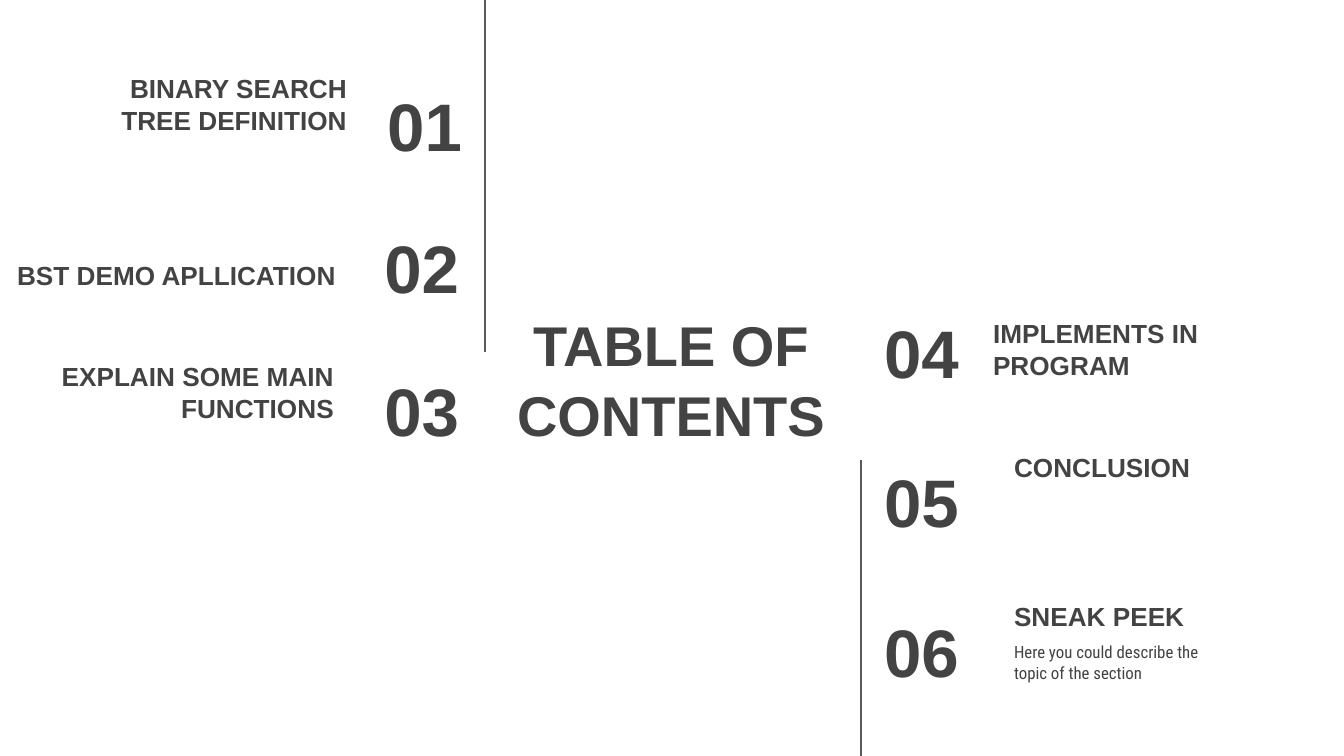
from lxml import etree
from pptx import Presentation
from pptx.dml.color import RGBColor
from pptx.enum.shapes import MSO_CONNECTOR
from pptx.enum.text import MSO_ANCHOR, MSO_AUTO_SIZE, PP_ALIGN
from pptx.oxml.ns import qn
from pptx.util import Pt

LEFT, CENTER, RIGHT = PP_ALIGN.LEFT, PP_ALIGN.CENTER, PP_ALIGN.RIGHT
TOP, MIDDLE, BOTTOM = MSO_ANCHOR.TOP, MSO_ANCHOR.MIDDLE, MSO_ANCHOR.BOTTOM
STRAIGHT = MSO_CONNECTOR.STRAIGHT
NO_AUTOFIT = MSO_AUTO_SIZE.NONE

PX = 914400 / 134.4
INSET = 13
ROW_HEIGHT = 85


def px(value):
    """Turn pixels into EMU."""
    return round(value * PX)


def write(shape, box, text, size, align, anchor, font="Arial", bold=True, bottom=INSET):
    """Place a shape and fill it with one formatted paragraph."""
    shape.left, shape.top, shape.width, shape.height = map(px, box)
    frame = shape.text_frame
    frame.word_wrap = True
    frame.auto_size = NO_AUTOFIT
    frame.vertical_anchor = anchor
    frame.margin_left = frame.margin_right = frame.margin_top = px(INSET)
    frame.margin_bottom = px(bottom)
    paragraph = frame.paragraphs[0]
    paragraph.text = text
    paragraph.alignment = align
    paragraph.space_before = Pt(0)
    paragraph.line_spacing = 1.04
    paragraph.font.name = font
    paragraph.font.size = Pt(size)
    paragraph.font.bold = bold
    paragraph.font.color.rgb = RGBColor.from_string("434343")


presentation = Presentation()
presentation.slide_width = px(1344)
presentation.slide_height = px(756)
slide = presentation.slides.add_slide(presentation.slide_layouts[0])

write(slide.shapes.title, (497, 309, 348, 138), "TABLE OF CONTENTS", 30, CENTER, MIDDLE)
write(slide.placeholders[1], (1001, 628, 246, 85),
      "Here you could describe the topic of the section", 9, LEFT, TOP,
      font="Roboto Condensed", bold=False)

# number, number box (left, top, width), heading, heading box, alignment, bottom inset
sections = [
    ("01", (312, 81, 163), "BINARY SEARCH TREE DEFINITION", (70, 95, 290), RIGHT, 44),
    ("02", (309, 223, 163), "BST DEMO APLLICATION", (0, 219, 349), RIGHT, INSET),
    ("03", (309, 366, 163), "EXPLAIN SOME MAIN FUNCTIONS", (16, 352, 331), RIGHT, INSET),
    ("04", (871, 308, 157), "IMPLEMENTS IN PROGRAM", (980, 309, 364), LEFT, INSET),
    ("05", (871, 457, 157), "CONCLUSION", (1001, 411, 290), LEFT, INSET),
    ("06", (871, 607, 157), "SNEAK PEEK", (1001, 560, 290), LEFT, INSET),
]
for number, number_box, heading, heading_box, align, bottom in sections:
    number_shape = slide.shapes.add_textbox(0, 0, 0, 0)
    write(number_shape, (*number_box, ROW_HEIGHT), number, 36, align, MIDDLE)
    heading_shape = slide.shapes.add_textbox(0, 0, 0, 0)
    write(heading_shape, (*heading_box, ROW_HEIGHT), heading, 14, align, BOTTOM, bottom=bottom)

for x, start, end in [(485, 0, 352), (861, 460, 756)]:
    divider = slide.shapes.add_connector(STRAIGHT, px(x), px(start), px(x), px(end))
    divider.line.color.rgb = RGBColor.from_string("595959")
    divider.line.width = Pt(0.75)
    etree.SubElement(divider._element.spPr, qn("a:effectLst"))

presentation.save("out.pptx")
